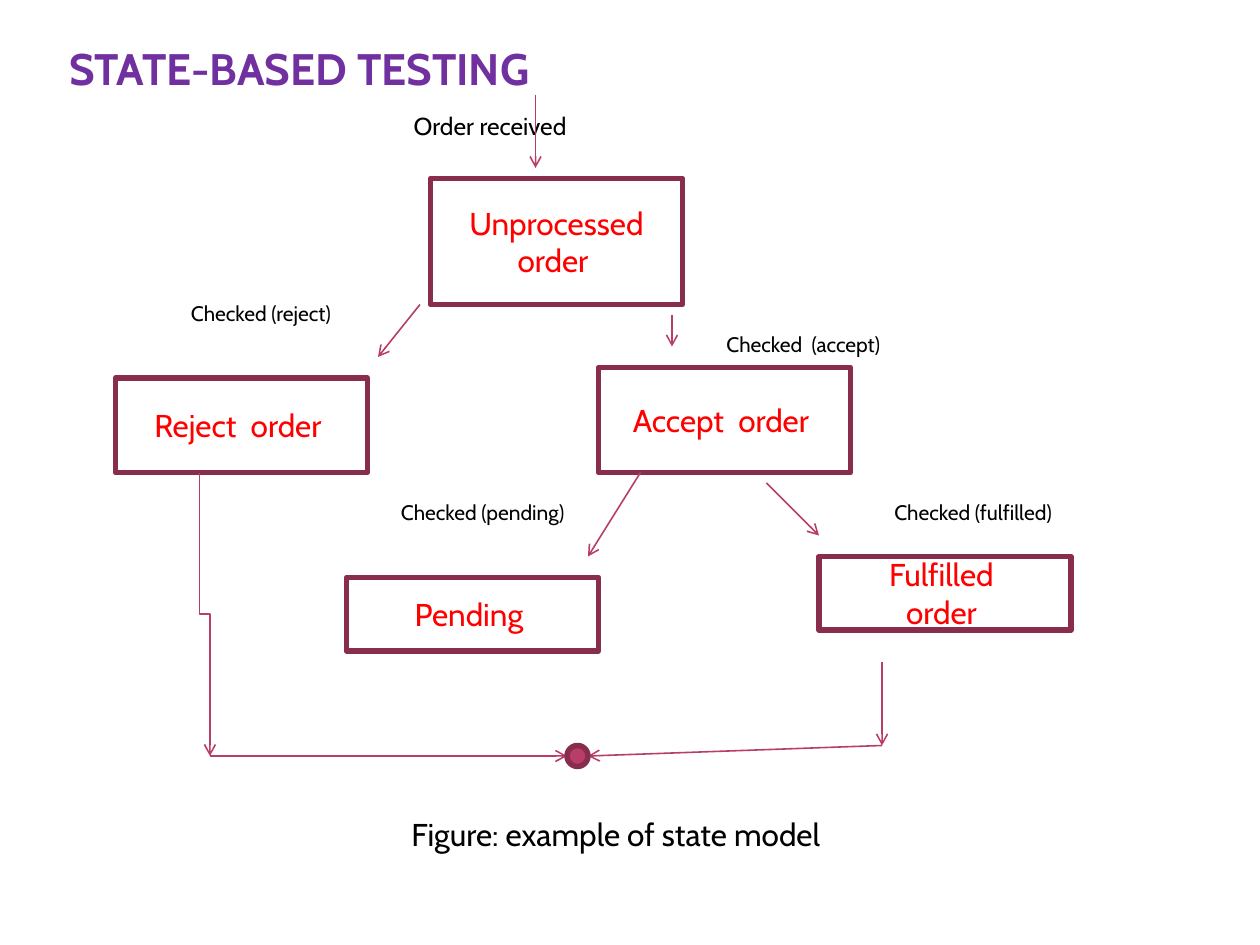
from lxml.etree import SubElement
from pptx import Presentation
from pptx.dml.color import RGBColor
from pptx.enum.shapes import MSO_CONNECTOR as Connector, MSO_SHAPE as Shape
from pptx.enum.text import MSO_ANCHOR as Anchor, MSO_AUTO_SIZE as AutoSize, PP_ALIGN as Align
from pptx.oxml.ns import qn
from pptx.util import Inches, Pt

PURPLE = RGBColor(0x70, 0x30, 0xA0)
PLUM = RGBColor(0x88, 0x2D, 0x4D)
ROSE = RGBColor(0xB8, 0x3D, 0x68)
RED = RGBColor(0xFF, 0x00, 0x00)
BLACK = RGBColor(0x00, 0x00, 0x00)
WHITE = RGBColor(0xFF, 0xFF, 0xFF)


class StateDiagram:
    """Draws a state model on a slide with a grid of 120 columns and 90 rows."""

    font_name = "Cabin"
    columns, rows = 120, 90

    def __init__(self, presentation):
        self.width, self.height = presentation.slide_width, presentation.slide_height
        self.slide = presentation.slides.add_slide(presentation.slide_layouts[1])
        self.shapes = self.slide.shapes

    def x(self, column):
        return round(self.width * column / self.columns)

    def y(self, row):
        return round(self.height * row / self.rows)

    def area(self, column, row, wide, high):
        return self.x(column), self.y(row), self.x(wide), self.y(high)

    def set_text(self, frame, text, size, color, align=Align.LEFT, bold=False):
        frame.text = text
        for paragraph in frame.paragraphs:
            paragraph.alignment = align
            font = paragraph.font
            font.name, font.size, font.bold = self.font_name, Pt(size), bold
            font.color.rgb = color

    def place(self, placeholder, column, row, wide, high):
        placeholder.left, placeholder.top, placeholder.width, placeholder.height = self.area(
            column, row, wide, high)
        frame = placeholder.text_frame
        frame.auto_size = AutoSize.NONE
        return frame

    def title(self, text, *area):
        frame = self.place(self.shapes.title, *area)
        frame.vertical_anchor = Anchor.BOTTOM
        frame.margin_left = frame.margin_right = Inches(0.05)
        frame.margin_top = frame.margin_bottom = 0
        self.set_text(frame, text, 25.2, PURPLE, bold=True)

    def body(self, text, indent, *area):
        frame = self.place(self.slide.placeholders[1], *area)
        frame.text = text
        paragraph = frame.paragraphs[0]
        properties = paragraph._p.get_or_add_pPr()
        properties.set("marL", str(self.x(indent)))
        properties.set("indent", "0")
        SubElement(properties, qn("a:buNone"))
        paragraph.space_before = 0
        paragraph.font.name, paragraph.font.size = self.font_name, Pt(14)
        paragraph.font.color.rgb = BLACK

    def outlined(self, kind, fill, *area):
        shape = self.shapes.add_shape(kind, *self.area(*area))
        shape.shadow.inherit = False
        shape.fill.solid()
        shape.fill.fore_color.rgb = fill
        shape.line.color.rgb, shape.line.width = PLUM, Pt(3.15)
        return shape

    def state(self, text, column, row, high, wide=24):
        frame = self.outlined(Shape.RECTANGLE, WHITE, column, row, wide, high).text_frame
        frame.word_wrap = True
        frame.vertical_anchor = Anchor.MIDDLE
        self.set_text(frame, text, 18, RED, Align.CENTER)

    def final_state(self, column, row, size):
        self.outlined(Shape.OVAL, ROSE, column, row, size, size)

    def arrow(self, start, end, kind=Connector.STRAIGHT):
        connector = self.shapes.add_connector(
            kind, self.x(start[0]), self.y(start[1]), self.x(end[0]), self.y(end[1]))
        connector.line.color.rgb, connector.line.width = ROSE, Pt(0.9)
        SubElement(connector.get_or_add_ln(), qn("a:tailEnd"), type="arrow")
        SubElement(connector._element.spPr, qn("a:effectLst"))
        return connector

    def falling_elbow(self, start, end):
        middle_column, middle_row = (start[0] + end[0]) / 2, (start[1] + end[1]) / 2
        across, down = (end[0] - start[0]) / 2, (end[1] - start[1]) / 2
        connector = self.arrow((middle_column - down, middle_row - across),
                               (middle_column + down, middle_row + across), Connector.ELBOW)
        transform = connector._element.spPr.find(qn("a:xfrm"))
        transform.set("rot", "16200000")
        transform.set("flipH", "1")

    def caption(self, text, column, row, wide, high=3.6, size=12):
        frame = self.shapes.add_textbox(*self.area(column, row, wide, high)).text_frame
        frame.word_wrap = False
        frame.auto_size = AutoSize.SHAPE_TO_FIT_TEXT
        self.set_text(frame, text, size, BLACK)


def main():
    presentation = Presentation()
    presentation.slide_width, presentation.slide_height = Inches(10), Inches(7.5)
    diagram = StateDiagram(presentation)
    diagram.title("STATE-BASED TESTING", 6, 4.2, 95, 4.8)
    diagram.body("Order received", 35.2, 3, 10, 101, 76)

    for text, column, row, high in (
        ("Unprocessed order ", 41, 17, 12),
        ("Pending ", 33, 55, 7),
        ("Fulfilled \norder ", 78, 53, 7),
        ("Accept  order ", 57, 35, 10),
        ("Reject  order ", 11, 36, 9),
    ):
        diagram.state(text, column, row, high)

    for start, end in (
        ((51, 9), (51, 16)),
        ((61, 45), (56, 53)),
        ((73, 46), (78, 51)),
        ((40, 29), (36, 34)),
        ((64, 30), (64, 33)),
        ((20, 72), (54, 72)),
        ((84, 63), (84, 71)),
        ((84, 71), (56, 72)),
    ):
        diagram.arrow(start, end)
    diagram.falling_elbow((19, 45), (20, 72))
    diagram.final_state(54, 71, 2)

    diagram.caption("Figure: example of state model", 38, 77, 45.1, 4.8, 18)
    for text, column, row, wide in (
        ("Checked  (accept)", 68, 31, 18.8),
        ("Checked (reject)", 17, 28, 17.6),
        ("Checked (fulfilled)", 84, 47, 19.2),
        ("Checked (pending)", 37, 47, 19.2),
    ):
        diagram.caption(text, column, row, wide)
    presentation.save("out.pptx")


if __name__ == "__main__":
    main()
